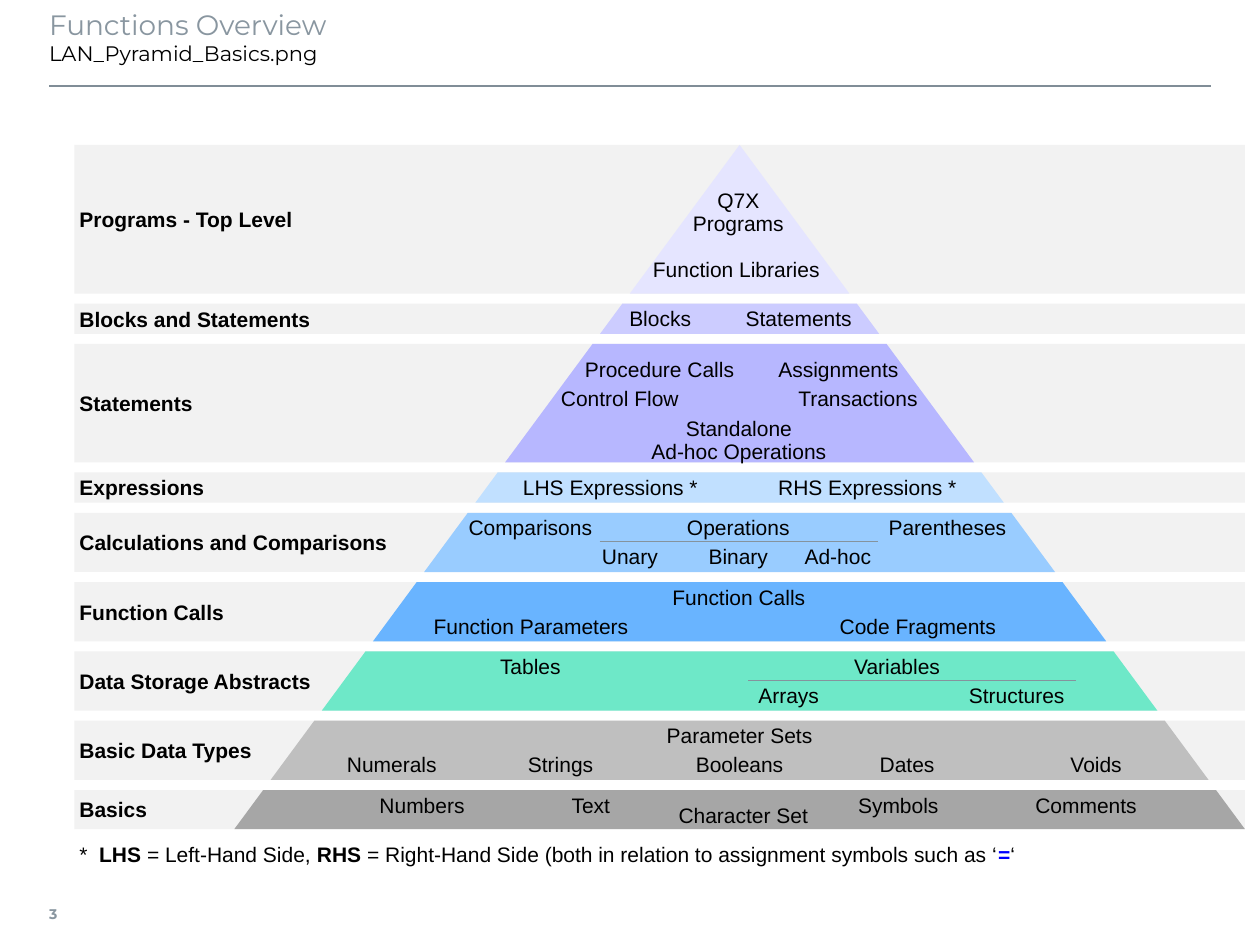
from dataclasses import dataclass

from lxml import etree
from pptx import Presentation
from pptx.dml.color import RGBColor
from pptx.enum.shapes import MSO_CONNECTOR, MSO_SHAPE
from pptx.enum.text import MSO_ANCHOR, PP_ALIGN
from pptx.oxml.ns import qn
from pptx.util import Inches, Pt

STRAIGHT = MSO_CONNECTOR.STRAIGHT
RECTANGLE = MSO_SHAPE.RECTANGLE
TOP, MIDDLE = MSO_ANCHOR.TOP, MSO_ANCHOR.MIDDLE
LEFT, CENTER = PP_ALIGN.LEFT, PP_ALIGN.CENTER


@dataclass(frozen=True)
class Theme:
    heading_font: str = "Montserrat"
    body_font: str = "Arial"
    title_size: int = 16
    body_size: int = 12
    number_size: int = 8
    text: str = "000000"
    muted: str = "8996A0"
    header_rule: str = "808D97"
    group_rule: str = "85939D"
    band: str = "F2F2F2"
    symbol: str = "0000FF"


THEME = Theme()
BAND_GAP = 0.08
LABEL_HEIGHT = 0.24
NARROW, MEDIUM, WIDE, WIDEST = 1.1, 1.26, 1.57, 1.73
ROW = 0.23

# Each level: name, height, colour, labels as (text, left, offset from band top, width)
LEVELS = [
    ("Programs - Top Level", 1.18, "E5E5FF", [
        ("Q7X\nPrograms", 5.31, 0.32, NARROW), ("Function Libraries", 4.98, 0.87, WIDEST)]),
    ("Blocks and Statements", 0.24, "CCCCFF", [
        ("Blocks", 4.61, 0, MEDIUM), ("Statements", 5.71, 0, MEDIUM)]),
    ("Statements", 0.94, "B7B7FF", [
        ("Procedure Calls", 4.45, 0.08, WIDE), ("Assignments", 5.87, 0.08, WIDE),
        ("Control Flow", 4.37, 0.31, NARROW), ("Transactions", 6.26, 0.31, NARROW),
        ("Standalone\nAd-hoc Operations", 5.08, 0.55, WIDE)]),
    ("Expressions", 0.24, "C1E0FF", [
        ("LHS Expressions *", 4.06, 0, WIDE), ("RHS Expressions *", 6.1, 0, WIDE)]),
    ("Calculations and Comparisons", 0.47, "99CCFF", [
        ("Comparisons", 3.66, 0, NARROW), ("Operations", 5.31, 0, NARROW),
        ("Parentheses", 6.97, 0, NARROW), ("Unary", 4.45, ROW, NARROW),
        ("Binary", 5.31, ROW, NARROW), ("Ad-hoc", 6.1, ROW, NARROW)]),
    ("Function Calls", 0.47, "69B4FF", [
        ("Function Calls", 5.08, 0, WIDE), ("Function Parameters", 3.35, ROW, WIDEST),
        ("Code Fragments", 6.5, ROW, WIDE)]),
    ("Data Storage Abstracts", 0.47, "6EE8C8", [
        ("Tables", 3.66, 0, NARROW), ("Variables", 6.57, 0, NARROW),
        ("Arrays", 5.71, ROW, NARROW), ("Structures", 7.52, ROW, NARROW)]),
    ("Basic Data Types", 0.47, "BFBFBF", [
        ("Parameter Sets", 5.24, 0, MEDIUM), ("Numerals", 2.48, ROW, MEDIUM),
        ("Strings", 3.82, ROW, MEDIUM), ("Booleans", 5.24, ROW, MEDIUM),
        ("Dates", 6.57, ROW, MEDIUM), ("Voids", 8.07, ROW, MEDIUM)]),
    ("Basics", 0.31, "A6A6A6", [
        ("Numbers", 2.72, 0, MEDIUM), ("Text", 4.06, 0, MEDIUM),
        ("Symbols", 6.5, 0, MEDIUM), ("Comments", 7.99, 0, MEDIUM),
        ("Character Set", 5.27, 0.08, MEDIUM)]),
]
# Lines below a group heading, by level name: from x, to x
GROUP_RULES = {
    "Calculations and Comparisons": (4.76, 6.97),
    "Data Storage Abstracts": (5.94, 8.54),
}


def style_font(font, color=THEME.text, size=THEME.body_size, name=THEME.body_font, bold=False):
    font.name, font.size, font.bold = name, Pt(size), bold
    font.color.rgb = RGBColor.from_string(color)


def set_frame(frame, insets, anchor=TOP, wrap=False):
    frame.word_wrap = wrap
    frame.vertical_anchor = anchor
    (frame.margin_left, frame.margin_top,
     frame.margin_right, frame.margin_bottom) = [Inches(inset) for inset in insets]


def set_text(frame, text, alignment=LEFT, spacing=1.0, **font):
    frame.text = text
    for paragraph in frame.paragraphs:
        paragraph.alignment = alignment
        paragraph.line_spacing = spacing
        for run in paragraph.runs:
            style_font(run.font, **font)


def add_text_box(slide, left, top, width, height, insets=(0.04,) * 4, **frame_options):
    shape = slide.shapes.add_textbox(Inches(left), Inches(top), Inches(width), Inches(height))
    set_frame(shape.text_frame, insets, **frame_options)
    return shape.text_frame


def fill_plain(shape, color):
    shape.shadow.inherit = False
    shape.fill.solid()
    shape.fill.fore_color.rgb = RGBColor.from_string(color)
    shape.line.fill.background()


def add_rule(slide, start, end, y, color, weight):
    rule = slide.shapes.add_connector(STRAIGHT, Inches(start), Inches(y), Inches(end), Inches(y))
    rule.line.color.rgb = RGBColor.from_string(color)
    rule.line.width = Pt(weight)
    etree.SubElement(rule._element.spPr, qn("a:effectLst"))


def add_header(slide, left, top, width, height):
    frame = add_text_box(slide, left, top, width, height, (0, 0.05, 0.1, 0.05), wrap=True)
    set_text(frame, "Functions Overview\nLAN_Pyramid_Basics.png", name=THEME.heading_font)
    style_font(frame.paragraphs[0].runs[0].font, THEME.muted, THEME.title_size, THEME.heading_font)
    add_rule(slide, 0.39, 9.61, 0.68, THEME.header_rule, 1)


def add_band(slide, name, left, top, width, height):
    band = slide.shapes.add_shape(
        RECTANGLE, Inches(left), Inches(top), Inches(width), Inches(height))
    fill_plain(band, THEME.band)
    set_frame(band.text_frame, (0.04,) * 4, MIDDLE)
    set_text(band.text_frame, name, bold=True)


def add_slice(slide, color, center, top, bottom, half_top, half_bottom):
    """Draw one level of the pyramid; a zero half_top gives the triangular tip."""
    corners = [(center - half_top, top), (center + half_top, top),
               (center + half_bottom, bottom), (center - half_bottom, bottom)]
    if half_top == 0:
        corners = corners[1:]
    points = [(Inches(x), Inches(y)) for x, y in corners]
    builder = slide.shapes.build_freeform(*points[0])
    builder.add_line_segments(points[1:], close=True)
    fill_plain(builder.convert_to_shape(), color)


def add_pyramid(slide, left, top, width, height):
    """Stack the levels; the pyramid's base ends at the right edge of the box."""
    half_base = 4.01
    center = left + width - half_base
    slope = half_base / height
    band_top = top
    for name, band_height, color, labels in LEVELS:
        bottom = band_top + band_height
        add_band(slide, name, left, band_top, width, band_height)
        add_slice(slide, color, center, band_top, bottom,
                  (band_top - top) * slope, (bottom - top) * slope)
        for text, label_left, offset, label_width in labels:
            frame = add_text_box(slide, label_left, band_top + offset, label_width, LABEL_HEIGHT)
            set_text(frame, text, CENTER, 0.9)
        if name in GROUP_RULES:
            add_rule(slide, *GROUP_RULES[name], band_top + ROW, THEME.group_rule, 0.75)
        band_top = bottom + BAND_GAP


def add_footnote(slide, left, top, width, height):
    paragraph = add_text_box(slide, left, top, width, height).paragraphs[0]
    paragraph.line_spacing = 0.9
    for text, color, bold in [
        ("*  ", THEME.text, False),
        ("LHS", THEME.text, True),
        (" = Left-Hand Side, ", THEME.text, False),
        ("RHS", THEME.text, True),
        (" = Right-Hand Side (both in relation to assignment symbols such as ‘", THEME.text, False),
        ("=", THEME.symbol, True),
        ("‘", THEME.text, False),
    ]:
        run = paragraph.add_run()
        run.text = text
        style_font(run.font, color, bold=bold)


def add_slide_number(slide, left, top, width, height):
    frame = add_text_box(slide, left, top, width, height, (0, 0.05, 0.08, 0.05), anchor=MIDDLE)
    set_text(frame, "3", color=THEME.muted, size=THEME.number_size,
             name=THEME.heading_font, bold=True)


def main():
    presentation = Presentation()
    presentation.slide_width, presentation.slide_height = Inches(10), Inches(7.5)
    slide = presentation.slides.add_slide(presentation.slide_layouts[6])
    add_header(slide, 0.39, 0.01, 9.21, 0.63)
    add_pyramid(slide, 0.59, 1.15, 9.29, 5.43)
    add_footnote(slide, 0.59, 6.66, 7.7, 0.24)
    add_slide_number(slide, 0.39, 7.06, 0.35, 0.39)
    presentation.save("out.pptx")


if __name__ == "__main__":
    main()
